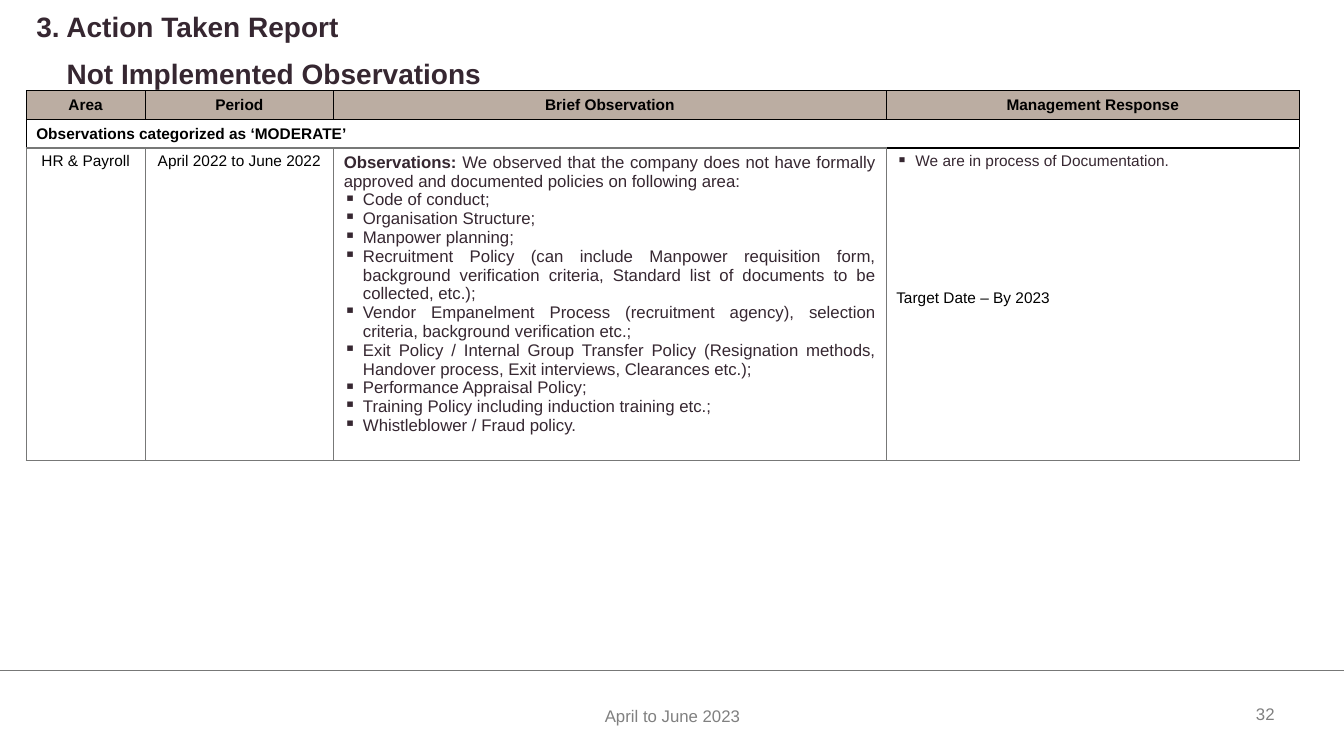
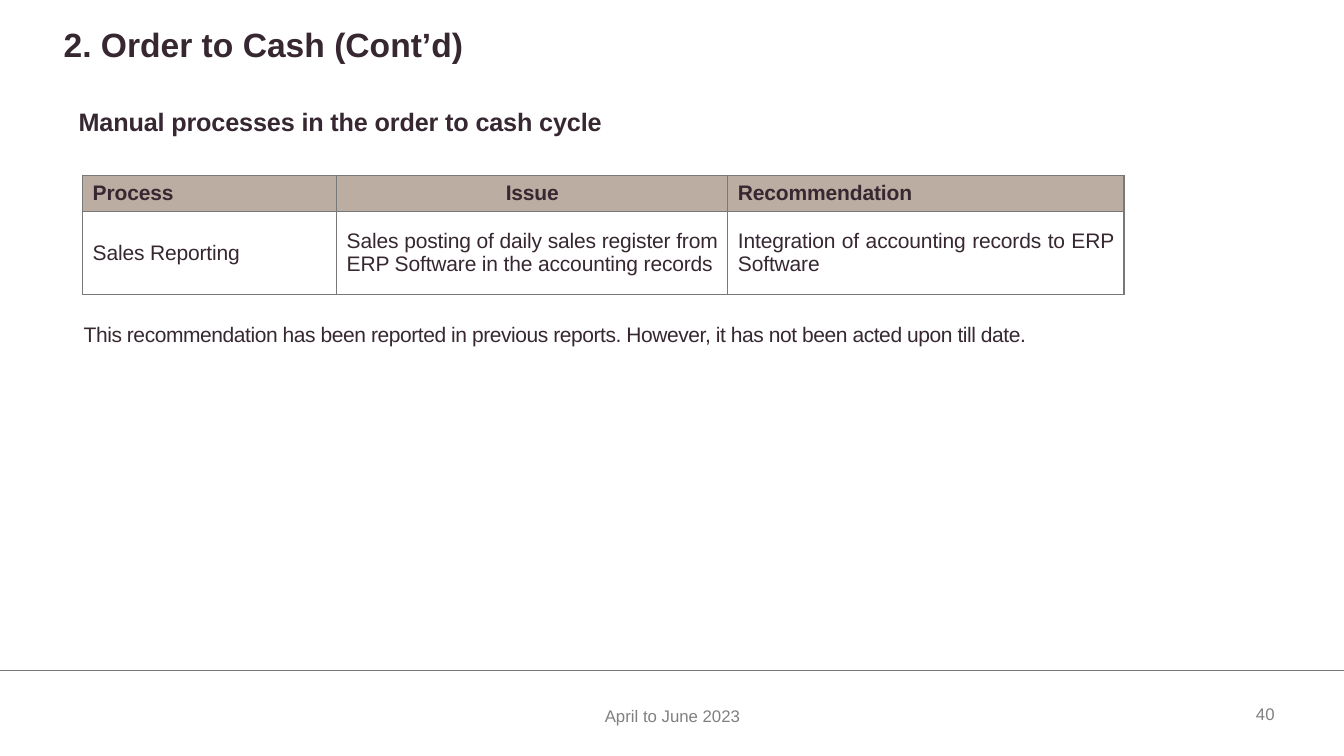
import dataclasses

import lxml.etree
import pptx
import pptx.dml.color
import pptx.enum.shapes
import pptx.enum.text
import pptx.oxml.ns
import pptx.util

ALIGN = pptx.enum.text.PP_ALIGN
ANCHOR = pptx.enum.text.MSO_ANCHOR
qn = pptx.oxml.ns.qn


@dataclasses.dataclass(frozen=True)
class Theme:
    font: str = "Arial"
    ink: str = "362731"
    black: str = "000000"
    grey: str = "808080"
    rule: str = "777877"
    header: str = "BBADA2"
    title_size: int = 24
    long_title_size: int = 20
    heading_size: int = 18
    text_size: int = 15
    detail_size: int = 12
    label_size: int = 11


theme = Theme()
deck = pptx.Presentation()
deck.slide_width = pptx.util.Inches(13.33)
deck.slide_height = pptx.util.Inches(7.5)
column = deck.slide_width / 100
row = deck.slide_height / 100
title_only = deck.slide_layouts[5]


def area(left, top, width, height):
    return int(left * column), int(top * row), int(width * column), int(height * row)


def write(frame, lines, size, color, bold=False, align=ALIGN.LEFT, spacing=0, insets=(0.1, 0.05, 0.1, 0.05)):
    frame.word_wrap = True
    frame.text = "\n".join(lines)
    frame.margin_left, frame.margin_top, frame.margin_right, frame.margin_bottom = map(pptx.util.Inches, insets)
    for paragraph in frame.paragraphs:
        paragraph.alignment = align
        for run in paragraph.runs:
            run.font.name = theme.font
            run.font.size = pptx.util.Pt(size)
            run.font.bold = bold
            run.font.color.rgb = pptx.dml.color.RGBColor.from_string(color)
            if spacing:
                run._r.get_or_add_rPr().set("spc", str(round(spacing * 100)))


pages = [
    (["3. Action Taken Report", "Not Implemented Observations"], (1.95, 1.73, 96.25, 5.2),
     theme.long_title_size, (0, 0, 0.1, 0.05), "32"),
    (["2. Order to Cash (Cont’d)"], (3.98, 3.07, 54.76, 6.93),
     theme.title_size, (0.1, 0.05, 0.1, 0.05), "40"),
]
for heading, place, size, insets, number in pages:
    slide = deck.slides.add_slide(title_only)
    rule = slide.shapes.add_connector(
        pptx.enum.shapes.MSO_CONNECTOR.STRAIGHT, 0, int(88.67 * row), deck.slide_width, int(88.67 * row))
    rule.line.color.rgb = pptx.dml.color.RGBColor.from_string(theme.rule)
    rule.line.width = pptx.util.Pt(0.5)
    lxml.etree.SubElement(rule.element.spPr, qn("a:effectLst"))

    title = slide.shapes.title
    title.left, title.top, title.width, title.height = area(*place)
    write(title.text_frame, heading, size, theme.ink, True, insets=insets)
    title.text_frame.auto_size = pptx.enum.text.MSO_AUTO_SIZE.NONE
    title.text_frame.vertical_anchor = ANCHOR.TOP
    for paragraph in title.text_frame.paragraphs:
        paragraph.line_spacing = 0.9

    for label, spot, anchor in [
        ("April to June 2023", (33.16, 92.67, 33.76, 5.33), ANCHOR.TOP),
        (number, (89.42, 91.73, 9.45, 5.33), ANCHOR.MIDDLE),
    ]:
        footer = slide.shapes.add_textbox(*area(*spot)).text_frame
        write(footer, [label], theme.detail_size, theme.grey, align=ALIGN.CENTER)
        footer.vertical_anchor = anchor

action_slide, cash_slide = deck.slides
number_line, subject_line = action_slide.shapes.title.text_frame.paragraphs
for paragraph, indent in [(number_line, -0.3), (subject_line, 0)]:
    properties = paragraph._p.get_or_add_pPr()
    properties.set("marL", str(pptx.util.Inches(0.4)))
    properties.set("indent", str(pptx.util.Inches(indent)))
subject_line.space_before = pptx.util.Pt(12)

tables = []
for slide, left, top, widths, heights in [
    (action_slide, 1.95, 12, (8.85, 14.03, 41.11, 30.76), (3.6, 3.6, 40.93)),
    (cash_slide, 6.15, 23.2, (18.9, 29.11, 29.48), (4.8, 10.93)),
]:
    table = slide.shapes.add_table(
        len(heights), len(widths), *area(left, top, sum(widths), sum(heights))).table
    table.first_row = table.horz_banding = False
    for table_column, width in zip(table.columns, widths):
        table_column.width = int(width * column)
    for table_row, height in zip(table.rows, heights):
        table_row.height = int(height * row)
    tables.append(table)
actions, processes = tables

tight = (0.05, 0.05, 0.05, 0.05)
for cell, label in zip(actions.rows[0].cells, ["Area", "Period", "Brief Observation", "Management Response"]):
    write(cell.text_frame, [label], theme.label_size, theme.black, True, ALIGN.CENTER, insets=tight)

category = actions.cell(1, 0)
category.merge(actions.cell(1, 3))
write(category.text_frame, ["Observations categorized as ‘MODERATE’"],
      theme.label_size, theme.black, True, insets=tight)

policies = [
    "Observations: ",
    "Code of conduct;",
    "Organisation Structure;",
    "Manpower planning;",
    "Recruitment Policy (can include Manpower requisition form, background verification criteria, "
    "Standard list of documents to be collected, etc.);",
    "Vendor Empanelment Process (recruitment agency), selection criteria, background verification etc.;",
    "Exit Policy / Internal Group Transfer Policy (Resignation methods, Handover process, "
    "Exit interviews, Clearances etc.);",
    "Performance Appraisal Policy;",
    "Training Policy including induction training etc.;",
    "Whistleblower / Fraud policy.",
]
responses = ["We are in process of Documentation.", "Target Date – By 2023"]
for cell, lines, size, color, align in zip(
    actions.rows[2].cells,
    [["HR & Payroll"], ["April 2022 to June 2022"], policies, responses],
    [theme.label_size, theme.label_size, theme.detail_size, theme.label_size],
    [theme.black, theme.black, theme.ink, theme.ink],
    [ALIGN.CENTER, ALIGN.CENTER, ALIGN.JUSTIFY, ALIGN.JUSTIFY],
):
    write(cell.text_frame, lines, size, color, align=align, insets=tight)

finding, *policy_lines = actions.cell(2, 2).text_frame.paragraphs
finding.runs[0].font.bold = True
summary = finding.add_run()
summary.text = "We observed that the company does not have formally approved and documented policies on following area:"
summary.font.name = theme.font
summary.font.size = pptx.util.Pt(theme.detail_size)
summary.font.color.rgb = pptx.dml.color.RGBColor.from_string(theme.ink)

response, target = actions.cell(2, 3).text_frame.paragraphs
target.space_before = pptx.util.Pt(85)
target.runs[0].font.color.rgb = pptx.dml.color.RGBColor.from_string(theme.black)
for paragraph in [*policy_lines, response]:
    properties = paragraph._p.get_or_add_pPr()
    properties.set("marL", str(pptx.util.Inches(0.19)))
    properties.set("indent", str(pptx.util.Inches(-0.19)))
    lxml.etree.SubElement(properties, qn("a:buChar"), char="▪")

process_rows = [
    [("Process", ALIGN.LEFT, 0.77, 0), ("Issue", ALIGN.CENTER, 0, 0), ("Recommendation", ALIGN.LEFT, 0.92, 0)],
    [("Sales Reporting", ALIGN.JUSTIFY, 0.1, 0),
     ("Sales posting of daily sales register from ERP Software in the accounting records",
      ALIGN.JUSTIFY, 0.1, 0.64),
     ("Integration of accounting records to ERP Software", ALIGN.JUSTIFY, 0.1, 0.22)],
]
for r, entries in enumerate(process_rows):
    for c, (entry, align, left, right) in enumerate(entries):
        write(processes.cell(r, c).text_frame, [entry], theme.text_size, theme.ink,
              r == 0, align, -0.1, (left, 0, right, 0))

for table in tables:
    last = len(table.rows) - 1
    for r, table_row in enumerate(table.rows):
        for c, cell in enumerate(table_row.cells):
            is_body = table is actions and r == last
            cell.vertical_anchor = ANCHOR.TOP if is_body else ANCHOR.MIDDLE
            if r == 0:
                cell.fill.solid()
                cell.fill.fore_color.rgb = pptx.dml.color.RGBColor.from_string(theme.header)
            else:
                cell.fill.background()
            for position, side in enumerate(["L", "R", "T", "B"]):
                color, width = theme.rule, 1
                if table is actions and r < last and not (r == 1 and side == "B"):
                    color, width = theme.black, 0.5
                if table is actions and c == 3 and (r, side) in [(1, "B"), (2, "T")]:
                    color = theme.black
                edge = lxml.etree.Element(qn(f"a:ln{side}"), w=str(pptx.util.Pt(width)))
                paint = lxml.etree.SubElement(edge, qn("a:solidFill"))
                lxml.etree.SubElement(paint, qn("a:srgbClr"), val=color)
                cell._tc.get_or_add_tcPr().insert(position, edge)

for sentence, place, size, bold, spacing in [
    ("Manual processes in the order to cash cycle", (5.78, 14, 49.89, 4.4), theme.heading_size, True, -0.1),
    ("This recommendation has been reported in previous reports. However, it has not been acted upon till date.",
     (6.15, 42.4, 80.35, 3.6), theme.text_size, False, -0.3),
]:
    remark = cash_slide.shapes.add_textbox(*area(*place)).text_frame
    write(remark, [sentence], size, theme.ink, bold, spacing=spacing, insets=(0.01, 0.01, 0, 0))

deck.save("out.pptx")
